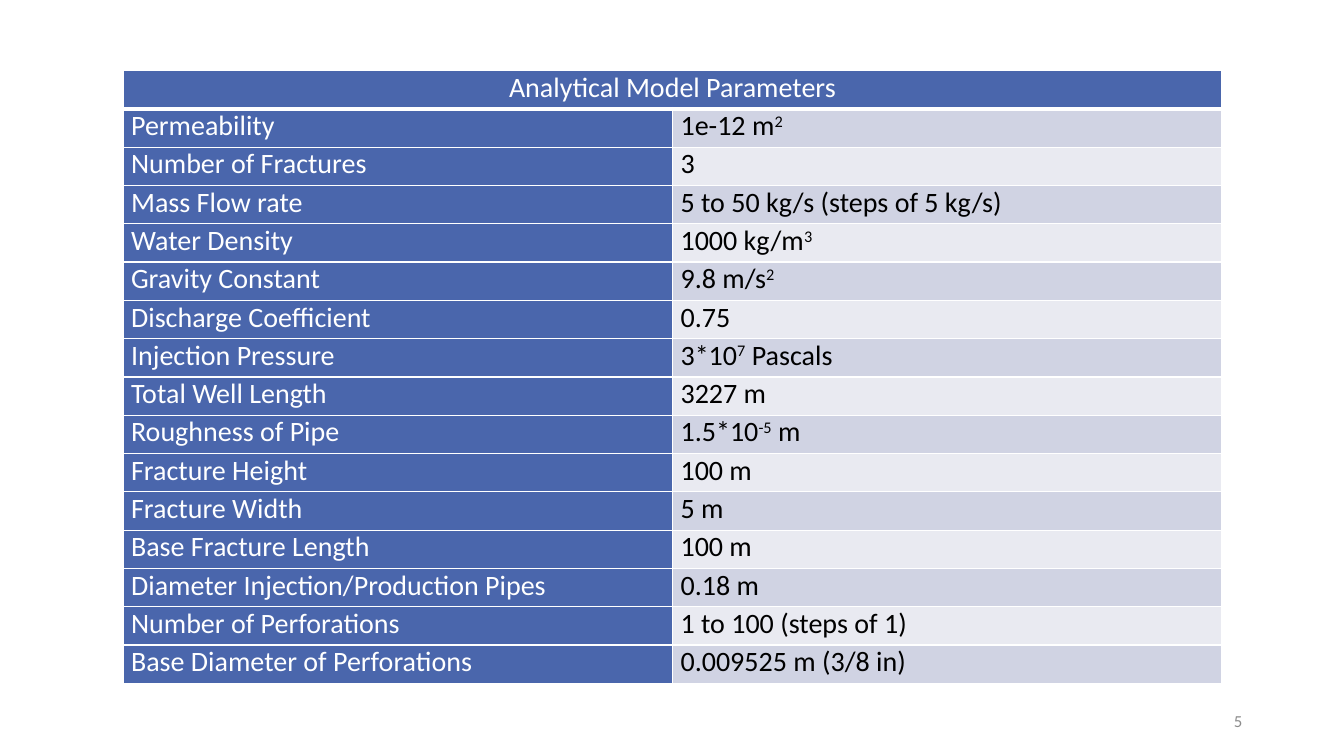
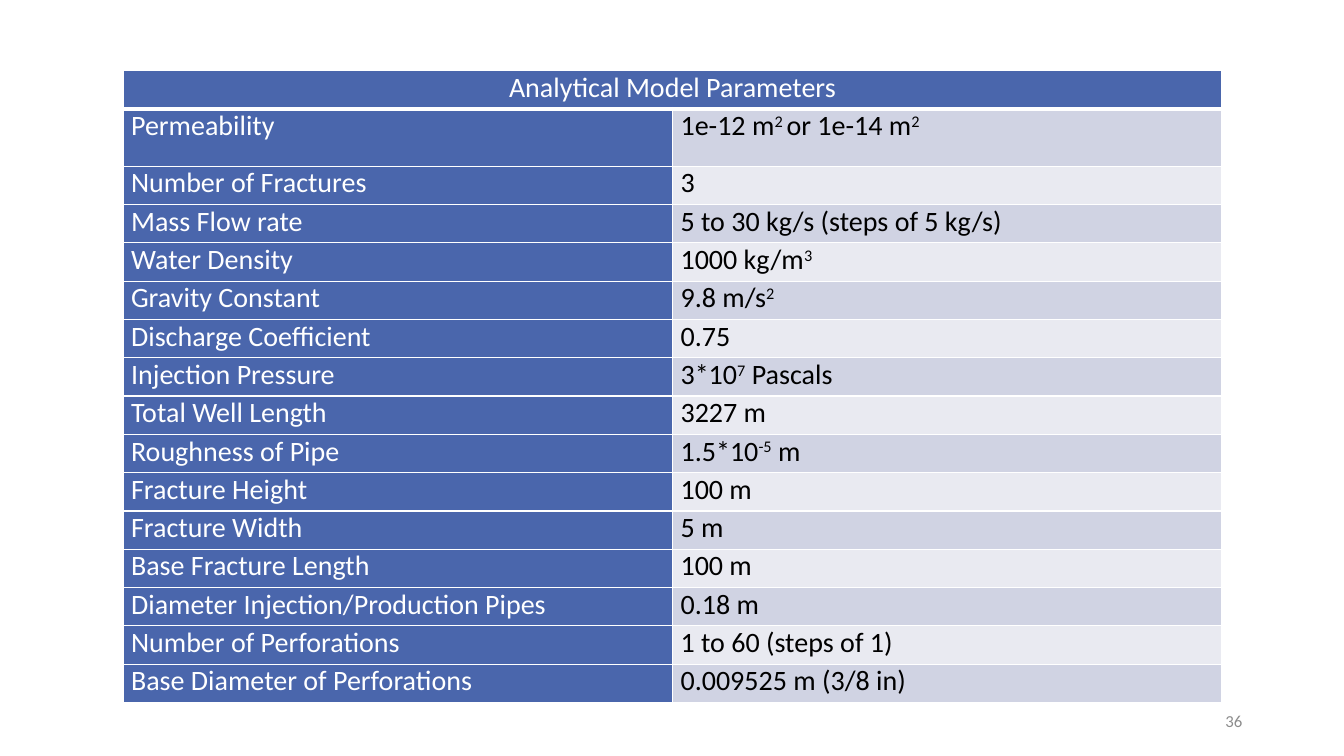
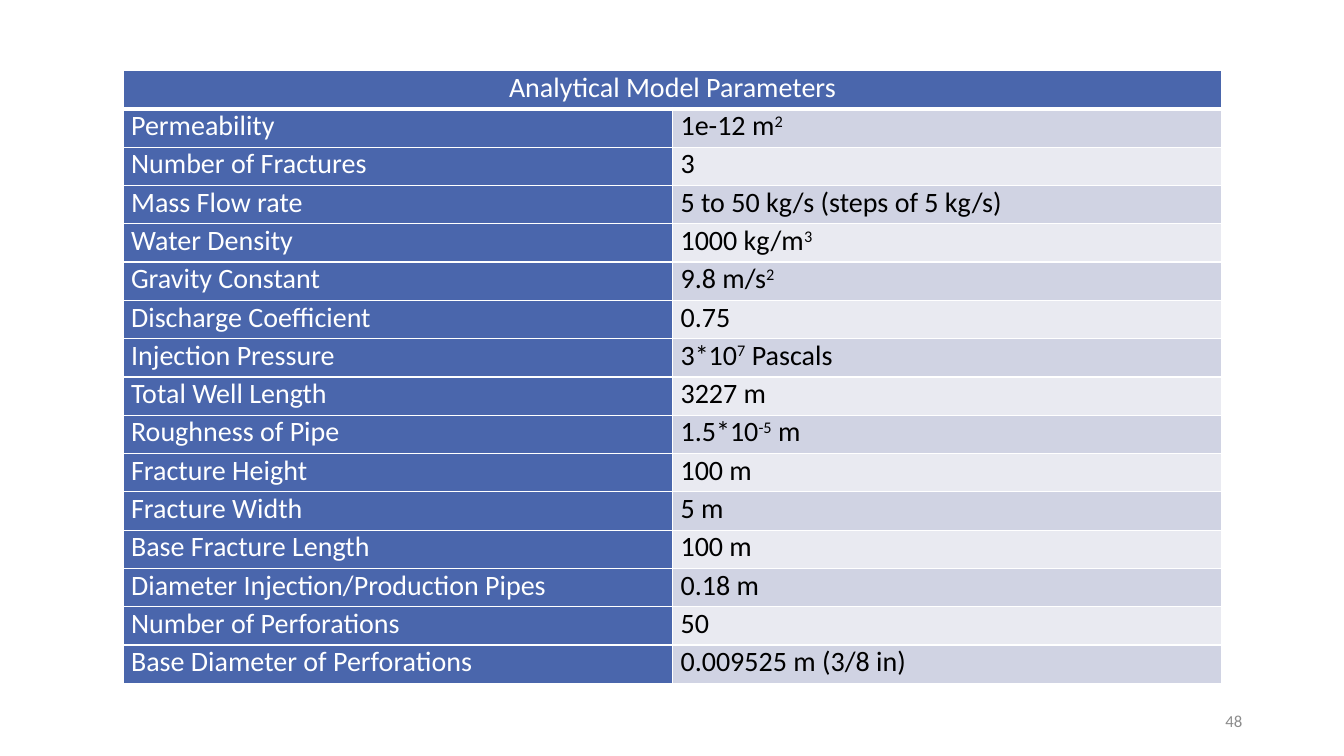
from pptx import Presentation
from pptx.dml.color import RGBColor
from pptx.enum.text import MSO_ANCHOR, PP_ALIGN
from pptx.oxml.xmlchemy import OxmlElement
from pptx.util import Inches, Pt

BLUE = RGBColor(0x4A, 0x66, 0xAC)
BAND_DARK = RGBColor(0xD0, 0xD3, 0xE3)
BAND_LIGHT = RGBColor(0xE9, 0xEA, 0xF1)
WHITE = RGBColor(0xFF, 0xFF, 0xFF)
BLACK = RGBColor(0x00, 0x00, 0x00)
GREY = RGBColor(0x8C, 0x8C, 0x8C)

FONT = "Calibri"
ROW_HEIGHT = 0.38
COLUMN_WIDTH = 5.45

# Text between two carets is superscript; braces take the values of each slide
PARAMETERS = [
    ("Permeability", "{permeability}"),
    ("Number of Fractures", "3"),
    ("Mass Flow rate", "5 to {top_flow} kg/s (steps of 5 kg/s)"),
    ("Water Density", "1000 kg/m^3^"),
    ("Gravity Constant", "9.8 m/s^2^"),
    ("Discharge Coefficient", "0.75"),
    ("Injection Pressure", "3*10^7^ Pascals"),
    ("Total Well Length", "3227 m"),
    ("Roughness of Pipe", "1.5*10^-5^ m"),
    ("Fracture Height", "100 m"),
    ("Fracture Width", "5 m"),
    ("Base Fracture Length", "100 m"),
    ("Diameter Injection/Production Pipes", "0.18 m"),
    ("Number of Perforations", "{perforations}"),
    ("Base Diameter of Perforations", "0.009525 m (3/8 in)"),
]

SLIDES = [
    dict(number="5", permeability="1e-12 m^2^", top_flow=50,
         perforations="1 to 100 (steps of 1)", permeability_height=ROW_HEIGHT),
    dict(number="36", permeability="1e-12 m^2 ^or 1e-14 m^2^", top_flow=30,
         perforations="1 to 60 (steps of 1)", permeability_height=0.57),
    dict(number="48", permeability="1e-12 m^2^", top_flow=50,
         perforations="50", permeability_height=ROW_HEIGHT),
]


def write_text(text_frame, text, size=20, color=BLACK, align=PP_ALIGN.LEFT):
    paragraph = text_frame.paragraphs[0]
    paragraph.alignment = align
    for index, part in enumerate(text.split("^")):
        if part:
            run = paragraph.add_run()
            run.text = part
            run.font.name = FONT
            run.font.size = Pt(size)
            run.font.color.rgb = color
            if index % 2:
                run.font._element.set("baseline", "30000")


def format_cell(cell, fill, bottom_width=1):
    cell.margin_left = cell.margin_right = Inches(0.08)
    cell.margin_top = cell.margin_bottom = 0
    properties = cell._tc.get_or_add_tcPr()
    for side, width in (("L", 1), ("R", 1), ("T", 1), ("B", bottom_width)):
        line = OxmlElement(f"a:ln{side}")
        line.set("w", str(Pt(width)))
        line_fill = OxmlElement("a:solidFill")
        line_color = OxmlElement("a:srgbClr")
        line_color.set("val", str(WHITE))
        line_fill.append(line_color)
        line.append(line_fill)
        properties.append(line)
    cell.fill.solid()
    cell.fill.fore_color.rgb = fill


presentation = Presentation()
presentation.slide_width = Inches(13.33)
presentation.slide_height = Inches(7.5)
blank_layout = presentation.slide_layouts[6]

for values in SLIDES:
    slide = presentation.slides.add_slide(blank_layout)

    # Parameter table
    row_count = len(PARAMETERS) + 1
    table = slide.shapes.add_table(
        row_count, 2, Inches(1.22), Inches(0.7),
        Inches(2 * COLUMN_WIDTH), Inches(row_count * ROW_HEIGHT)).table
    table.first_row = False
    table.horz_banding = False
    for column in table.columns:
        column.width = Inches(COLUMN_WIDTH)
    for row in table.rows:
        row.height = Inches(ROW_HEIGHT)
    table.rows[1].height = Inches(values["permeability_height"])

    # Header row
    header = table.cell(0, 0)
    header.merge(table.cell(0, 1))
    for cell in table.rows[0].cells:
        format_cell(cell, BLUE, bottom_width=3)
    write_text(header.text_frame, "Analytical Model Parameters",
               color=WHITE, align=PP_ALIGN.CENTER)

    # Names and values
    for row_index, (name, value) in enumerate(PARAMETERS, start=1):
        name_cell, value_cell = table.rows[row_index].cells
        format_cell(name_cell, BLUE)
        write_text(name_cell.text_frame, name, color=WHITE)
        format_cell(value_cell, BAND_DARK if row_index % 2 else BAND_LIGHT)
        write_text(value_cell.text_frame, value.format(**values))

    # Slide number
    number_box = slide.shapes.add_textbox(
        Inches(9.42), Inches(6.95), Inches(3), Inches(0.4))
    number_box.text_frame.word_wrap = True
    number_box.text_frame.vertical_anchor = MSO_ANCHOR.MIDDLE
    write_text(number_box.text_frame, values["number"],
               size=12, color=GREY, align=PP_ALIGN.RIGHT)

presentation.save("out.pptx")
